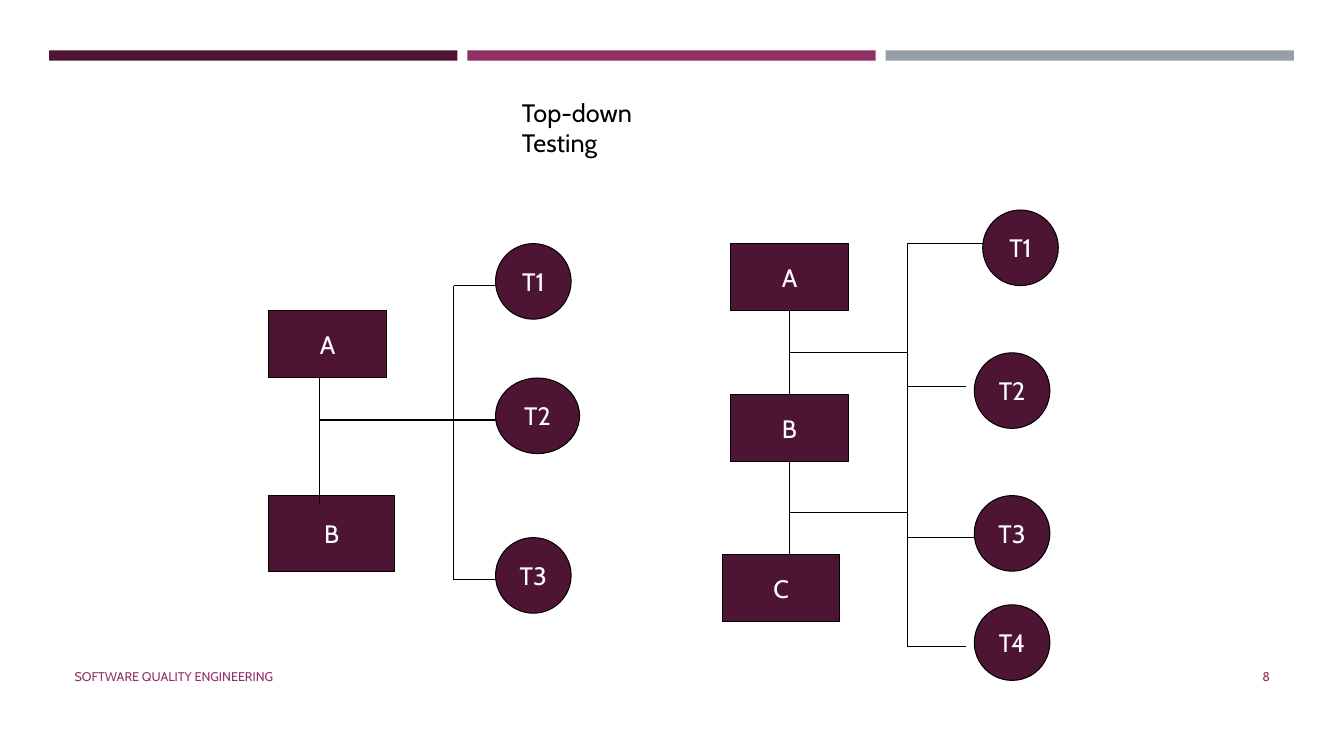
from pptx import Presentation
from pptx import util as u
from pptx.dml.color import RGBColor
from pptx.enum import shapes, text
from pptx.oxml.ns import qn
from lxml import etree

PLUM = RGBColor(0x4D, 0x14, 0x34)
ROSE = RGBColor(0x90, 0x31, 0x63)
GREY = RGBColor(0x96, 0x9F, 0xA7)
BLACK = RGBColor(0, 0, 0)
WHITE = RGBColor(255, 255, 255)

RECT = shapes.MSO_SHAPE.RECTANGLE
OVAL = shapes.MSO_SHAPE.OVAL
MID = text.MSO_ANCHOR.MIDDLE
LEFT, CENTER, RIGHT = text.PP_ALIGN.LEFT, text.PP_ALIGN.CENTER, text.PP_ALIGN.RIGHT

# Modules and tests: label, left, top, width, height in grid steps
MODULES = [
    ("A", 32, 37, 14, 8), ("B", 32, 59, 15, 9),
    ("A", 87, 29, 14, 8), ("B", 87, 47, 14, 8), ("C", 86, 66, 14, 8),
]
TESTS = [
    ("T1", 59, 29, 9, 9), ("T2", 59, 45, 10, 9), ("T3", 59, 64, 9, 9),
    ("T1", 117, 25, 9, 9), ("T2", 116, 42, 9, 9),
    ("T3", 116, 59, 9, 9), ("T4", 116, 72, 9, 9),
]
# Lines: start x, start y, end x, end y in grid steps
LINKS = [
    (38, 45, 38, 60), (38, 50, 59, 50), (54, 34, 54, 69),
    (54, 34, 59, 34), (54, 69, 59, 69),
    (94, 37, 94, 47), (94, 55, 94, 66), (108, 29, 108, 77),
    (94, 42, 108, 42), (94, 61, 108, 61), (108, 29, 117, 29),
    (108, 46, 115, 46), (108, 64, 116, 64), (108, 77, 115, 77),
]


def grid(*steps):
    """Turn grid steps, twelve to the inch, into lengths."""
    return [u.Cm(n * 2.54 / 12) for n in steps]


def assign(item, values):
    for name, value in values.items():
        setattr(item, name, value)


def write(shape, words, size, color, align, anchor=MID, wrap=True):
    frame = shape.text_frame
    frame.text = words
    assign(frame, {"word_wrap": wrap, "vertical_anchor": anchor,
                   "auto_size": text.MSO_AUTO_SIZE.NONE})
    para = frame.paragraphs[0]
    para.alignment = align
    font = para.runs[0].font
    assign(font, {"name": "Cabin", "size": u.Pt(size)})
    font.color.rgb = color


def add_bar(slide, index, color):
    bar = slide.shapes.add_shape(
        RECT, u.Cm(1.24 + 10.54 * index), u.Cm(1.27), u.Cm(10.29), u.Cm(0.26))
    bar.shadow.inherit = False
    bar.fill.solid()
    bar.fill.fore_color.rgb = color
    bar.line.fill.background()


def add_node(slide, kind, label, *box):
    node = slide.shapes.add_shape(kind, *grid(*box))
    node.shadow.inherit = False
    node.fill.solid()
    node.fill.fore_color.rgb = PLUM
    node.line.color.rgb = BLACK
    node.line.width = u.Pt(0.75)
    write(node, label, 18, WHITE, CENTER, wrap=False)


def add_link(slide, *ends):
    link = slide.shapes.add_connector(
        shapes.MSO_CONNECTOR.STRAIGHT, *grid(*ends))
    link.line.color.rgb = BLACK
    link.line.width = u.Pt(0.75)
    etree.SubElement(link._element.spPr, qn("a:effectLst"))


def add_title(slide, words):
    title = slide.shapes.title
    assign(title, {"left": u.Cm(12.9), "top": u.Cm(2.33),
                   "width": u.Cm(5.03), "height": u.Cm(1.78)})
    write(title, words, 18, BLACK, LEFT, text.MSO_ANCHOR.TOP)


def add_note(slide, words, left, width, align):
    """Add small text on the bottom line of the slide."""
    note = slide.shapes.add_textbox(
        u.Cm(left), u.Cm(16.54), u.Cm(width), u.Cm(1.02))
    write(note, words, 9, ROSE, align)


def main():
    deck = Presentation()
    assign(deck, {"slide_width": u.Cm(33.87), "slide_height": u.Cm(19.05)})
    slide = deck.slides.add_slide(deck.slide_layouts[5])
    for index, color in enumerate((PLUM, ROSE, GREY)):
        add_bar(slide, index, color)
    add_title(slide, "Top-down Testing")
    for module in MODULES:
        add_node(slide, RECT, *module)
    for test in TESTS:
        add_node(slide, OVAL, *test)
    for ends in LINKS:
        add_link(slide, *ends)
    add_note(slide, "SOFTWARE QUALITY ENGINEERING", 1.63, 19.2, LEFT)
    add_note(slide, "8", 29.34, 2.92, RIGHT)
    deck.save("out.pptx")


if __name__ == "__main__":
    main()
